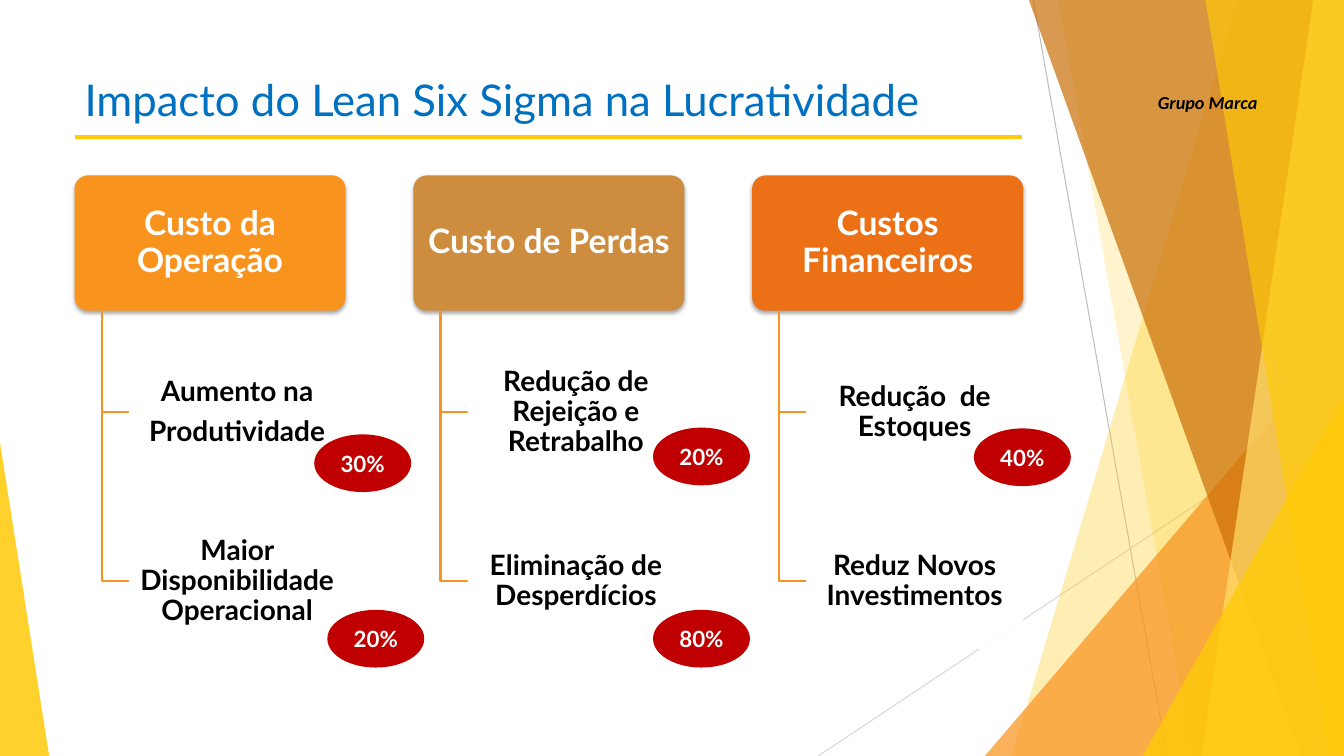
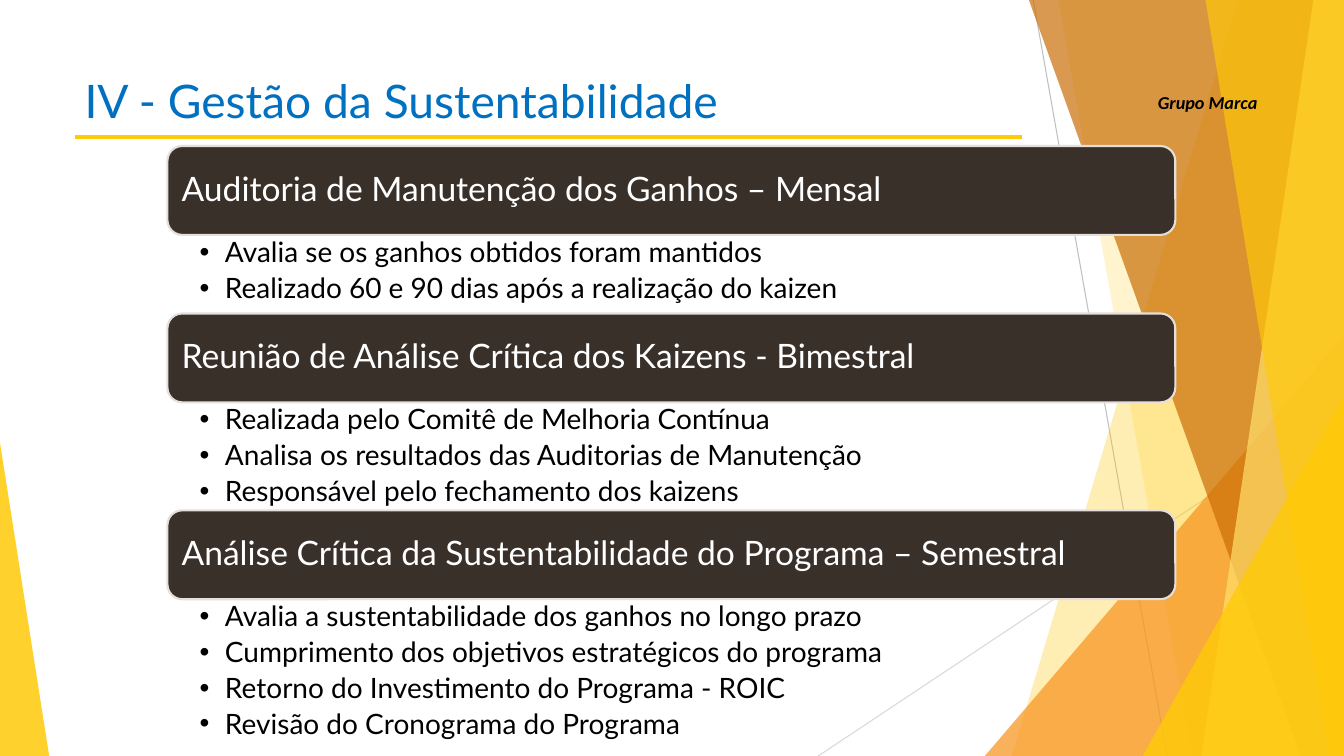
from lxml import etree
from pptx import Presentation, util as u
from pptx.dml.color import RGBColor
from pptx.enum import shapes as es, text as et
from pptx.oxml.ns import qn

Cm = u.Cm
WIDTH, HEIGHT = 33.87, 19.05

# Colours and text formats shared by the slides
GOLD, ORANGE, BLUE, RED = "FFCA08", "F8931D", "0070C0", "C00000"
WHITE, BLACK, BROWN, SAND = "FFFFFF", "000000", "39302A", "E5DEDB"
HEADER = dict(name="Lato", size=u.Pt(24), bold=True)
ITEM = dict(name="Lato", size=u.Pt(20), bold=True)
BADGE = dict(name="Lato", size=u.Pt(16), bold=True)
BAND = dict(name="Lato", size=u.Pt(24), bold=False)
BULLET = dict(name="Lato", size=u.Pt(20), bold=False)
BRAND = dict(name="Calibri", size=u.Pt(13), bold=True, italic=True)


def rgb(value):
    return RGBColor.from_string(value)


def set_all(obj, values):
    for key, value in values.items():
        setattr(obj, key, value)


def cm(*values):
    return [Cm(v) for v in values]


def paint(sp, fill=None, line=None, alpha=None, width=1.5):
    """Flat fill and line without the theme's shadow."""
    sp.shadow.inherit = False
    if fill:
        sp.fill.solid()
        sp.fill.fore_color.rgb = rgb(fill)
        if alpha:
            clr = sp.element.xpath("./p:spPr/a:solidFill/a:srgbClr")[0]
            etree.SubElement(clr, qn("a:alpha"), val=str(alpha * 1000))
    else:
        sp.fill.background()
    if line:
        sp.line.color.rgb = rgb(line)
        sp.line.width = u.Pt(width)
    else:
        sp.line.fill.background()
    return sp


def add_shape(slide, kind, box, adj=None, **style):
    sp = slide.shapes.add_shape(kind, *cm(*box))
    if adj is not None:
        sp.adjustments[0] = adj
    return paint(sp, **style)


def add_path(slide, points, close=True, **style):
    start, *rest = [cm(*pt) for pt in points]
    fb = slide.shapes.build_freeform(*start)
    fb.add_line_segments(rest, close=close)
    return paint(fb.convert_to_shape(), **style)


def add_line(slide, ends, color, width):
    c = slide.shapes.add_connector(es.MSO_CONNECTOR.STRAIGHT, *cm(*ends))
    c.line.color.rgb = rgb(color)
    c.line.width = u.Pt(width)
    etree.SubElement(c.element.spPr, qn("a:effectLst"))
    return c


def add_bullet(p, indent):
    pPr = p._p.get_or_add_pPr()
    pPr.set("marL", str(Cm(indent)))
    pPr.set("indent", str(-Cm(indent)))
    etree.SubElement(pPr, qn("a:buFont"), typeface="Arial")
    etree.SubElement(pPr, qn("a:buChar"), char="•")


def write(tf, lines, font, color, align=et.PP_ALIGN.LEFT, spacing=1.0, after=0,
          anchor=et.MSO_ANCHOR.MIDDLE, insets=(0.25, 0.13, 0.25, 0.13), bullet=None):
    left, top, right, bottom = cm(*insets)
    set_all(tf, dict(word_wrap=True, auto_size=et.MSO_AUTO_SIZE.NONE,
                     vertical_anchor=anchor, margin_left=left, margin_top=top,
                     margin_right=right, margin_bottom=bottom))
    for i, line in enumerate(lines):
        p = tf.add_paragraph() if i else tf.paragraphs[0]
        if bullet:
            add_bullet(p, bullet)
        set_all(p, dict(alignment=align, line_spacing=spacing,
                        space_before=u.Pt(0), space_after=u.Pt(after)))
        r = p.add_run()
        r.text = line
        set_all(r.font, font)
        r.font.color.rgb = rgb(color)


def add_scenery(prs, slide):
    """Draw the facets, brand and title rule, then move them to the master."""
    def facet(top, bottom, color, alpha):
        points = [(top, 0), (WIDTH, 0), (WIDTH, HEIGHT), (bottom, HEIGHT)]
        return add_path(slide, points, fill=color, alpha=alpha)

    def wedge(left, top, width, apex, color, alpha):
        box = (left, top, width, HEIGHT - top)
        return add_shape(slide, es.MSO_SHAPE.ISOSCELES_TRIANGLE, box, apex,
                         fill=color, alpha=alpha)

    parts = [
        add_line(slide, (26.04, 0, 29.41, HEIGHT), "BFBFBF", 0.75),
        add_line(slide, (WIDTH, 10.24, 20.62, HEIGHT), "D9D9D9", 0.75),
        facet(31.19, 25.5, GOLD, 30),
        facet(26.67, 30.05, GOLD, 20),
        wedge(24.82, 8.46, 9.05, 1, ORANGE, 72),
        facet(25.93, 32.79, "CA6F06", 70),
        facet(33.1, 30.28, "FFDF6B", 70),
        facet(30.38, 33.48, GOLD, 65),
        wedge(28.8, 9.98, 5.07, 1, GOLD, 80),
        wedge(0, 11.15, 1.24, 0, GOLD, 85),
        add_line(slide, (1.88, 3.45, 25.76, 3.45), GOLD, 3),
    ]
    brand = slide.shapes.add_textbox(*cm(28.93, 2.18, 3.2, 0.91))
    write(brand.text_frame, ["Grupo Marca"], BRAND, BLACK, after=5,
          anchor=et.MSO_ANCHOR.TOP)
    for i, sp in enumerate(parts + [brand], 100):
        sp.element.xpath(".//p:cNvPr")[0].set("id", str(i))
        prs.slide_master.shapes.element.append(sp.element)


def add_title(slide, text, size):
    title = slide.shapes.title
    set_all(title, dict(zip(("left", "top", "width", "height"),
                            cm(1.88, 1.7, 24.36, 1.75))))
    write(title.text_frame, [text], dict(name="Lato", size=u.Pt(size)), BLUE,
          anchor=et.MSO_ANCHOR.TOP)


def add_cost_column(slide, box, heading, color, items):
    """Header with a trunk, branching to items that may carry a badge."""
    left, top, width, height = box
    block = dict(align=et.PP_ALIGN.CENTER, spacing=0.9, insets=(0.12, 0.08, 0.12, 0.08))
    head = add_shape(slide, es.MSO_SHAPE.ROUNDED_RECTANGLE, box, 0.1, fill=color)
    effects = head.element.spPr.find(qn("a:effectLst"))
    shadow = etree.SubElement(effects, qn("a:outerShdw"), blurRad=str(u.Pt(3)),
                              dist=str(u.Pt(2)), dir="5400000", rotWithShape="0")
    clr = etree.SubElement(shadow, qn("a:srgbClr"), val=BLACK)
    etree.SubElement(clr, qn("a:alpha"), val="35000")
    write(head.text_frame, [heading], HEADER, WHITE, after=8.4, **block)

    trunk, item_left = left + 0.1 * width, left + 0.2 * width
    for row, (lines, badge) in enumerate(items, 1):
        item_top = top + 1.25 * height * row
        middle = item_top + height / 2
        add_path(slide, [(trunk, top + height), (trunk, middle), (item_left, middle)],
                 close=False, line=ORANGE)
        sp = add_shape(slide, es.MSO_SHAPE.ROUNDED_RECTANGLE,
                       (item_left, item_top, 0.8 * width, height), 0.1,
                       fill=WHITE, alpha=90)
        write(sp.text_frame, lines, ITEM, BLACK, after=7, **block)
        if badge:
            value, dx, dy = badge
            sp = add_shape(slide, es.MSO_SHAPE.OVAL,
                           (item_left + dx, item_top + dy, 2.39, 1.4),
                           fill=RED, line=RED)
            write(sp.text_frame, [value], BADGE, WHITE, align=et.PP_ALIGN.CENTER)


def add_review(slide, box, heading, body, points, list_height):
    """Dark band with a bulleted list below it."""
    left, top, width, height = box
    band = add_shape(slide, es.MSO_SHAPE.ROUNDED_RECTANGLE, box, fill=BROWN, line=SAND)
    write(band.text_frame, [heading], BAND, WHITE, spacing=0.9, after=8.4,
          insets=(0.25, 0.25, 0.25, 0.25))
    set_all(body, dict(zip(("left", "top", "width", "height"),
                           cm(left, top + height, width, list_height))))
    write(body.text_frame, points, BULLET, BLACK, spacing=0.9, after=4,
          anchor=et.MSO_ANCHOR.TOP, insets=(0.81, 0.08, 0.41, 0.08), bullet=0.64)


def impact_slide(slide):
    add_title(slide, "Impacto do Lean Six Sigma na Lucratividade", 31.2)
    columns = [
        ("Custo da Operação", ORANGE, [
            (["Aumento na", "Produtividade"], ("30%", 4.7, 2.29)),
            (["Maior Disponibilidade Operacional"], ("20%", 5.03, 2.45))]),
        ("Custo de Perdas", "CE8D3E", [
            (["Redução de Rejeição e Retrabalho"], ("20%", 4.7, 2.12)),
            (["Eliminação de Desperdícios"], ("80%", 4.7, 2.45))]),
        ("Custos Financeiros", "EC7016", [
            (["Redução  de Estoques"], ("40%", 4.25, 2.14)),
            (["Reduz Novos Investimentos"], None)]),
    ]
    width = 6.83
    for i, column in enumerate(columns):
        add_cost_column(slide, (1.88 + 1.25 * width * i, 4.42, width, 3.41), *column)


def sustainability_slide(slide):
    add_title(slide, "IV - Gestão da Sustentabilidade", 33)
    reviews = [
        ("Auditoria de Manutenção dos Ganhos – Mensal", 1.98, [
            "Avalia se os ganhos obtidos foram mantidos",
            "Realizado 60 e 90 dias após a realização do kaizen"]),
        ("Reunião de Análise Crítica dos Kaizens - Bimestral", 2.72, [
            "Realizada pelo Comitê de Melhoria Contínua",
            "Analisa os resultados das Auditorias de Manutenção",
            "Responsável pelo fechamento dos kaizens"]),
        ("Análise Crítica da Sustentabilidade do Programa – Semestral", 3.58, [
            "Avalia a sustentabilidade dos ganhos no longo prazo",
            "Cumprimento dos objetivos estratégicos do programa",
            "Retorno do Investimento do Programa - ROIC",
            "Revisão do Cronograma do Programa"]),
    ]
    bodies = [ph for ph in slide.placeholders if ph.placeholder_format.idx > 0]
    top, height = 3.68, 2.24
    for (heading, list_height, points), body in zip(reviews, bodies):
        add_review(slide, (4.22, top, 25.4, height), heading, body, points, list_height)
        top += height + list_height
    # Remove the placeholders left empty
    for body in bodies[len(reviews):]:
        body.element.getparent().remove(body.element)


def main():
    prs = Presentation()
    prs.slide_width, prs.slide_height = cm(WIDTH, HEIGHT)
    title_only, comparison = prs.slide_layouts[5], prs.slide_layouts[4]
    slide = prs.slides.add_slide(title_only)
    add_scenery(prs, slide)
    impact_slide(slide)
    sustainability_slide(prs.slides.add_slide(comparison))
    prs.save("out.pptx")


if __name__ == "__main__":
    main()
